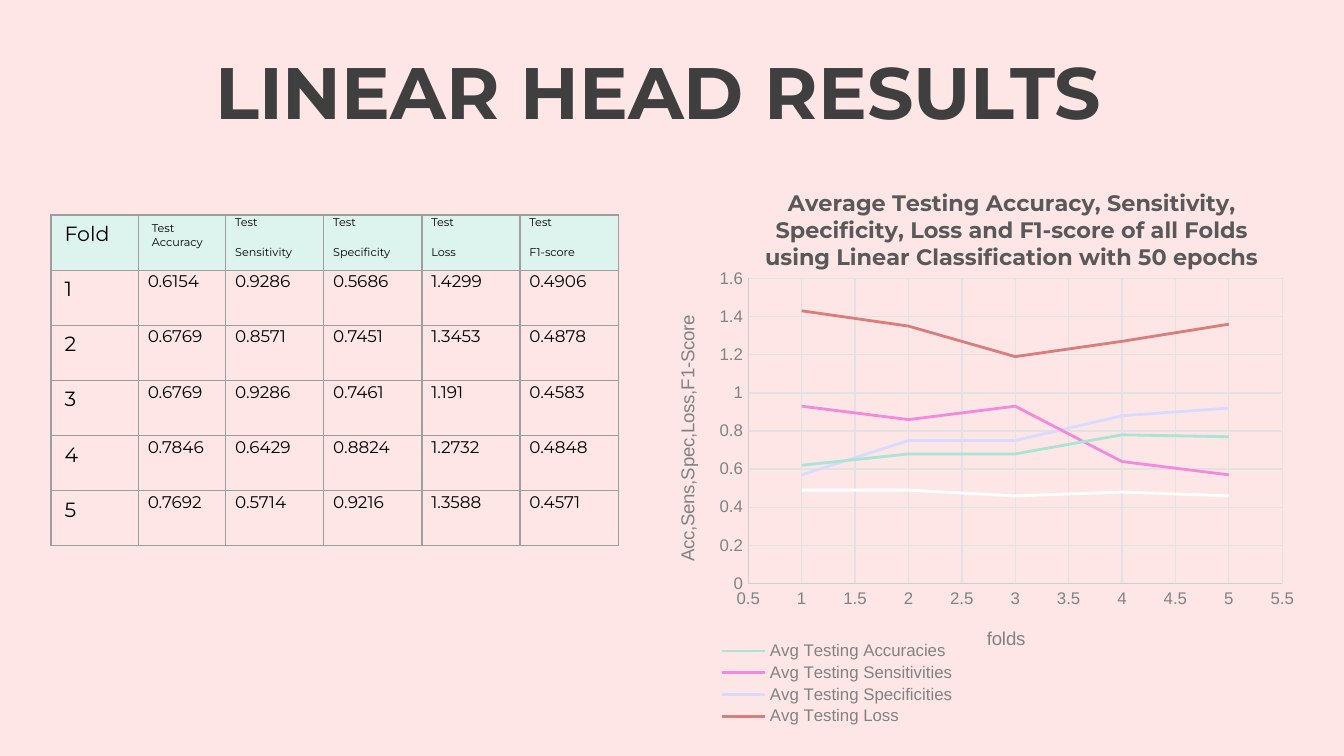
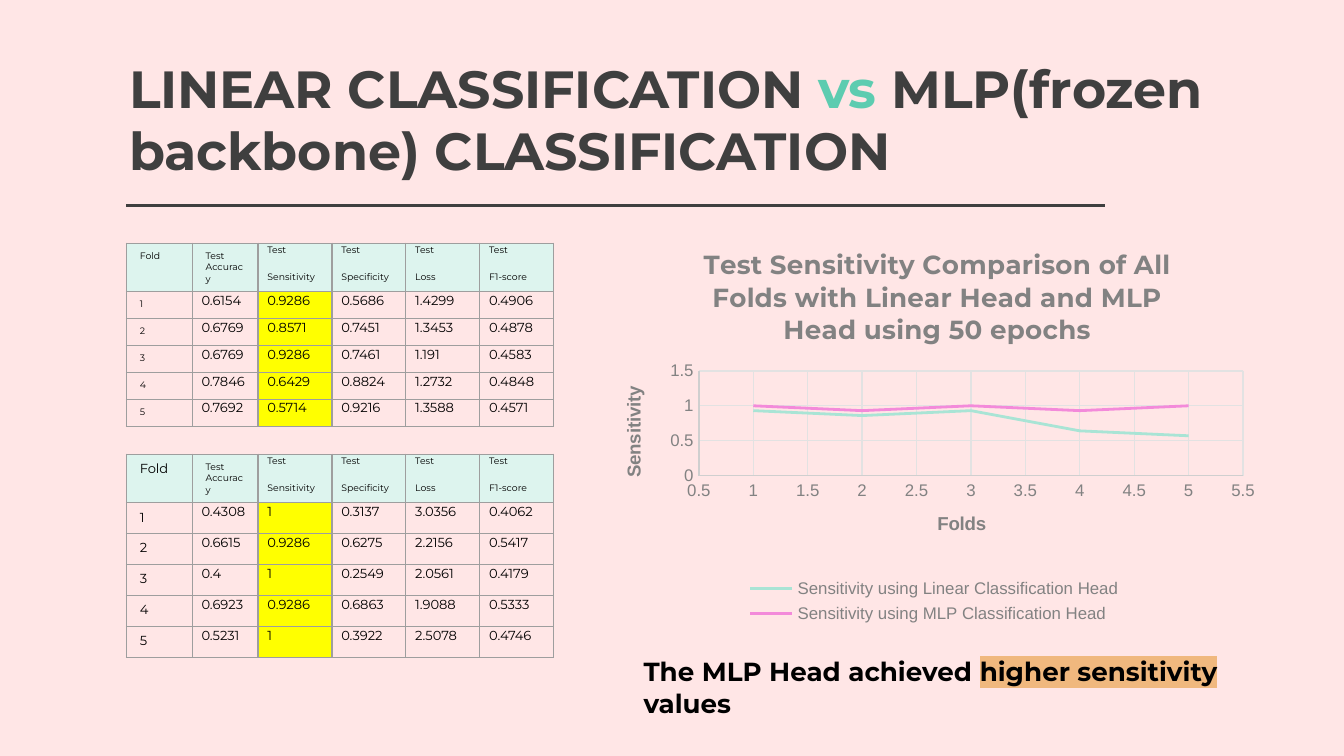
from lxml import etree
from pptx import Presentation
from pptx.chart.data import XyChartData
from pptx.dml.color import RGBColor
from pptx.enum.chart import XL_CHART_TYPE as ChartType
from pptx.enum.chart import XL_LEGEND_POSITION as LegendPosition
from pptx.enum.chart import XL_TICK_MARK as TickMark
from pptx.enum.shapes import MSO_CONNECTOR as Connector
from pptx.enum.text import MSO_ANCHOR as Anchor
from pptx.enum.text import MSO_AUTO_SIZE as AutoSize
from pptx.enum.text import PP_ALIGN as Align
from pptx.oxml.ns import qn
from pptx.util import Inches, Pt

PINK = RGBColor(0xFF, 0xE6, 0xE6)
CHARCOAL = RGBColor(0x3F, 0x3F, 0x3F)
BLACK = RGBColor(0, 0, 0)
TEAL = RGBColor(0x5D, 0xCC, 0xB0)
HEADER_MINT = RGBColor(0xDD, 0xF4, 0xEE)
YELLOW = RGBColor(0xFF, 0xFF, 0x00)
ORANGE = RGBColor(0xF0, 0xB8, 0x7E)
BORDER_GRAY = RGBColor(0x9E, 0x9E, 0x9E)
LABEL_GRAY = RGBColor(0x82, 0x82, 0x82)
TITLE_GRAY = RGBColor(0x59, 0x59, 0x59)
AXIS_GRAY = RGBColor(0xCF, 0xCF, 0xCF)
GRID_GRAY = RGBColor(0xE2, 0xE2, 0xE2)
MINT = RGBColor(0xA9, 0xE4, 0xD5)
MAGENTA = RGBColor(0xF3, 0x8A, 0xDA)
LAVENDER = RGBColor(0xD6, 0xDB, 0xFF)
RED = RGBColor(0xDB, 0x7D, 0x7D)
WHITE = RGBColor(0xFF, 0xFF, 0xFF)
SERIES_COLORS = [MINT, MAGENTA, LAVENDER, RED, WHITE]

HEADING_FONT = "Montserrat"
CHART_FONT = "Arial"

METRICS = ["Accuracy", "Sensitivity", "Specificity", "Loss", "F1-score"]
SENSITIVITY = METRICS.index("Sensitivity")
LINEAR_FOLDS = [
    (0.6154, 0.9286, 0.5686, 1.4299, 0.4906),
    (0.6769, 0.8571, 0.7451, 1.3453, 0.4878),
    (0.6769, 0.9286, 0.7461, 1.191, 0.4583),
    (0.7846, 0.6429, 0.8824, 1.2732, 0.4848),
    (0.7692, 0.5714, 0.9216, 1.3588, 0.4571),
]
MLP_FOLDS = [
    (0.4308, 1, 0.3137, 3.0356, 0.4062),
    (0.6615, 0.9286, 0.6275, 2.2156, 0.5417),
    (0.4, 1, 0.2549, 2.0561, 0.4179),
    (0.6923, 0.9286, 0.6863, 1.9088, 0.5333),
    (0.5231, 1, 0.3922, 2.5078, 0.4746),
]


def inches(box):
    return [Inches(length) for length in box]


def write(paragraph, text, size, color=BLACK, bold=False, font=HEADING_FONT, highlight=None):
    run = paragraph.add_run()
    run.text = text
    run.font.size = Pt(size)
    run.font.bold = bold
    run.font.name = font
    run.font.color.rgb = color
    if highlight is not None:
        mark = etree.Element(qn("a:highlight"))
        etree.SubElement(mark, qn("a:srgbClr"), val=str(highlight))
        run.font.fill._xPr.find(qn("a:solidFill")).addnext(mark)


def add_titled_slide(prs, box, parts, size):
    slide = prs.slides.add_slide(prs.slide_layouts[5])
    title = slide.shapes.title
    title.left, title.top, title.width, title.height = inches(box)
    frame = title.text_frame
    frame.word_wrap = True
    frame.auto_size = AutoSize.NONE
    frame.vertical_anchor = Anchor.BOTTOM
    frame.margin_left = frame.margin_right = Inches(0.1)
    frame.margin_top = frame.margin_bottom = Inches(0.1)
    heading = frame.paragraphs[0]
    heading.alignment = Align.LEFT
    for text, color in parts:
        write(heading, text, size, color, bold=True)
    return slide


def draw_borders(cell):
    properties = cell._tc.get_or_add_tcPr()
    for side in "LRTB":
        border = etree.SubElement(properties, qn(f"a:ln{side}"), w=str(Pt(0.75)))
        fill = etree.SubElement(border, qn("a:solidFill"))
        etree.SubElement(fill, qn("a:srgbClr"), val=str(BORDER_GRAY))


def fill_cell(cell, lines, size, color=None, tight=False):
    draw_borders(cell)
    if color is None:
        cell.fill.background()
    else:
        cell.fill.solid()
        cell.fill.fore_color.rgb = color
    if tight:
        cell.margin_left = cell.margin_right = Inches(0.07)
        cell.margin_top = cell.margin_bottom = 0
    frame = cell.text_frame
    for i, line in enumerate(lines):
        paragraph = frame.paragraphs[0] if i == 0 else frame.add_paragraph()
        if tight:
            paragraph.line_spacing = 1.07
            paragraph.space_after = Pt(8)
        write(paragraph, line, size)


def add_fold_table(slide, left, top, folds, widths, heights, sizes, highlighted=None):
    fold_size, header_size, label_size, value_size = sizes
    narrow, wide = widths
    header_height, row_height = heights
    columns = [narrow, narrow] + [wide] * 4
    box = inches((left, top, sum(columns), header_height + row_height * len(folds)))
    table = slide.shapes.add_table(len(folds) + 1, len(columns), *box).table
    table.first_row = table.horz_banding = False
    for column, width in zip(table.columns, columns):
        column.width = Inches(width)
    for i, row in enumerate(table.rows):
        row.height = Inches(row_height if i else header_height)

    fill_cell(table.cell(0, 0), ["Fold"], fold_size, HEADER_MINT)
    for j, metric in enumerate(METRICS):
        lines = ["Test", metric] if j else [f"Test {metric}"]
        fill_cell(table.cell(0, j + 1), lines, header_size, HEADER_MINT, tight=j > 0)
    for i, values in enumerate(folds, 1):
        fill_cell(table.cell(i, 0), [str(i)], label_size)
        for j, value in enumerate(values):
            color = YELLOW if j == highlighted else None
            fill_cell(table.cell(i, j + 1), [str(value)], value_size, color, tight=True)


def place(element, x, y, w=None, h=None, inner=False):
    for old in element.findall(qn("c:layout")):
        element.remove(old)
    before = {qn("c:tx"), qn("c:legendPos"), qn("c:legendEntry")}
    layout = etree.Element(qn("c:layout"))
    element.insert(sum(child.tag in before for child in element), layout)
    manual = etree.SubElement(layout, qn("c:manualLayout"))
    settings = [("layoutTarget", "inner")] if inner else []
    settings += [("xMode", "edge"), ("yMode", "edge"), ("x", x), ("y", y)]
    if w is not None:
        settings += [("w", w), ("h", h)]
    for tag, value in settings:
        etree.SubElement(manual, qn(f"c:{tag}"), val=str(value))


def style_axis(axis, title, position, scale, bold, vertical=False):
    axis.minimum_scale, axis.maximum_scale, axis.major_unit = scale
    axis.major_tick_mark = axis.minor_tick_mark = TickMark.NONE
    axis.has_major_gridlines = True
    for line, color in ((axis.format.line, AXIS_GRAY), (axis.major_gridlines.format.line, GRID_GRAY)):
        line.color.rgb = color
        line.width = Pt(0.75)
    labels = axis.tick_labels
    labels.number_format = "General"
    labels.number_format_is_linked = False
    labels.font.size = Pt(9)
    labels.font.name = CHART_FONT
    labels.font.color.rgb = LABEL_GRAY
    frame = axis.axis_title.text_frame
    write(frame.paragraphs[0], title, 10, LABEL_GRAY, bold, CHART_FONT)
    if vertical:
        frame._txBody.bodyPr.set("rot", "-5400000")
        frame._txBody.bodyPr.set("vert", "horz")
    place(axis.axis_title._element, *position)


def add_fold_chart(slide, box, series, title, title_size, title_color, title_at, plot_at,
                   x_title, x_title_at, y_title, y_title_at, y_scale, bold_axes=False):
    data = XyChartData(number_format="General")
    for name, values in series:
        points = data.add_series(name)
        for fold, value in enumerate(values, 1):
            points.add_data_point(fold, round(value, 2))
    chart = slide.shapes.add_chart(
        ChartType.XY_SCATTER_LINES_NO_MARKERS, *inches(box), data).chart
    chart.font.size = Pt(10)
    chart.font.name = CHART_FONT
    chart.font.color.rgb = CHARCOAL

    chart.has_title = True
    write(chart.chart_title.text_frame.paragraphs[0], title, title_size, title_color, bold=True)
    place(chart.chart_title._element, *title_at)

    plot = chart.plots[0]
    plot.vary_by_categories = False
    for line_series, color in zip(plot.series, SERIES_COLORS):
        line_series.smooth = False
        line_series.format.line.color.rgb = color
        line_series.format.line.width = Pt(1.5)
    place(chart._chartSpace.chart.plotArea, *plot_at, inner=True)
    style_axis(chart.category_axis, x_title, x_title_at, (0.5, 5.5, 0.5), bold_axes)
    style_axis(chart.value_axis, y_title, y_title_at, y_scale, bold_axes, vertical=True)

    chart.has_legend = True
    legend = chart.legend
    legend.position = LegendPosition.BOTTOM
    legend.include_in_layout = False
    legend.font.size = Pt(9)
    legend.font.name = CHART_FONT
    legend.font.color.rgb = LABEL_GRAY
    return chart


def hide_legend_entry(legend, index):
    entry = etree.Element(qn("c:legendEntry"))
    etree.SubElement(entry, qn("c:idx"), val=str(index))
    etree.SubElement(entry, qn("c:delete"), val="1")
    legend._element.find(qn("c:legendPos")).addnext(entry)


def add_rule(slide, left, right, y):
    rule = slide.shapes.add_connector(Connector.STRAIGHT, *inches((left, y, right, y)))
    rule.line.color.rgb = CHARCOAL
    rule.line.width = Pt(1.5)
    etree.SubElement(rule._element.spPr, qn("a:effectLst"))


def add_conclusion(slide, box):
    frame = slide.shapes.add_textbox(*inches(box)).text_frame
    frame.word_wrap = True
    frame.auto_size = AutoSize.SHAPE_TO_FIT_TEXT
    finding = frame.paragraphs[0]
    write(finding, "The MLP Head achieved ", 14, bold=True)
    write(finding, "higher sensitivity ", 14, bold=True, highlight=ORANGE)
    write(finding, "values", 14, bold=True)


def build_linear_results(prs):
    slide = add_titled_slide(prs, (1.5, -0.3, 7.4, 1.4), [("LINEAR HEAD RESULTS", CHARCOAL)], 39)
    add_fold_table(slide, 0.38, 1.6, LINEAR_FOLDS, (0.65, 0.73), (0.41, 0.41), (11, 6, 11, 9))
    names = ["Accuracies", "Sensitivities", "Specificities", "Loss", "F1-score"]
    series = [(f"Avg Testing {name}", values) for name, values in zip(names, zip(*LINEAR_FOLDS))]
    chart = add_fold_chart(
        slide, (5, 1.37, 4.73, 4.13), series,
        "Average Testing Accuracy, Sensitivity, Specificity, Loss and F1-score "
        "of all Folds using Linear Classification with 50 epochs",
        12, TITLE_GRAY, (0.14, 0), (0.12, 0.17, 0.84, 0.55),
        "folds", (0.49, 0.79), "Acc,Sens,Spec,Loss,F1-Score", (0, 0.23), (0, 1.6, 0.2))
    hide_legend_entry(chart.legend, len(series) - 1)
    place(chart.legend._element, 0.06, 0.82, 0.4, 0.16)


def build_comparison(prs):
    slide = add_titled_slide(prs, (0.86, 0.05, 8.83, 1.4), [
        ("LINEAR CLASSIFICATION ", CHARCOAL), ("vs ", TEAL),
        ("MLP(frozen backbone) CLASSIFICATION", CHARCOAL)], 28)
    widths = (0.49, 0.55)
    add_fold_table(slide, 0.94, 1.81, LINEAR_FOLDS, widths, (0.31, 0.2), (5, 5, 5, 7), SENSITIVITY)
    add_fold_table(slide, 0.94, 3.38, MLP_FOLDS, widths, (0.25, 0.23), (7, 5, 7, 7), SENSITIVITY)
    series = [(f"Sensitivity using {head} Classification Head", [fold[SENSITIVITY] for fold in folds])
              for head, folds in (("Linear", LINEAR_FOLDS), ("MLP", MLP_FOLDS))]
    add_fold_chart(
        slide, (4.45, 1.68, 5, 3), series,
        "Test Sensitivity Comparison of All Folds with Linear Head and MLP Head using 50 epochs",
        14, LABEL_GRAY, (0.15, 0.04), (0.15, 0.36, 0.81, 0.26),
        "Folds", (0.5, 0.7), "Sensitivity", (0.03, 0.39), (0, 1.5, 0.5), bold_axes=True)
    add_rule(slide, 0.94, 8.22, 1.53)
    add_conclusion(slide, (4.69, 4.83, 5, 0.34))


def main():
    prs = Presentation()
    prs.slide_width = Inches(10)
    prs.slide_height = prs.slide_width * 9 // 16
    background = prs.slide_master.background.fill
    background.solid()
    background.fore_color.rgb = PINK
    build_linear_results(prs)
    build_comparison(prs)
    prs.save("out.pptx")


if __name__ == "__main__":
    main()
